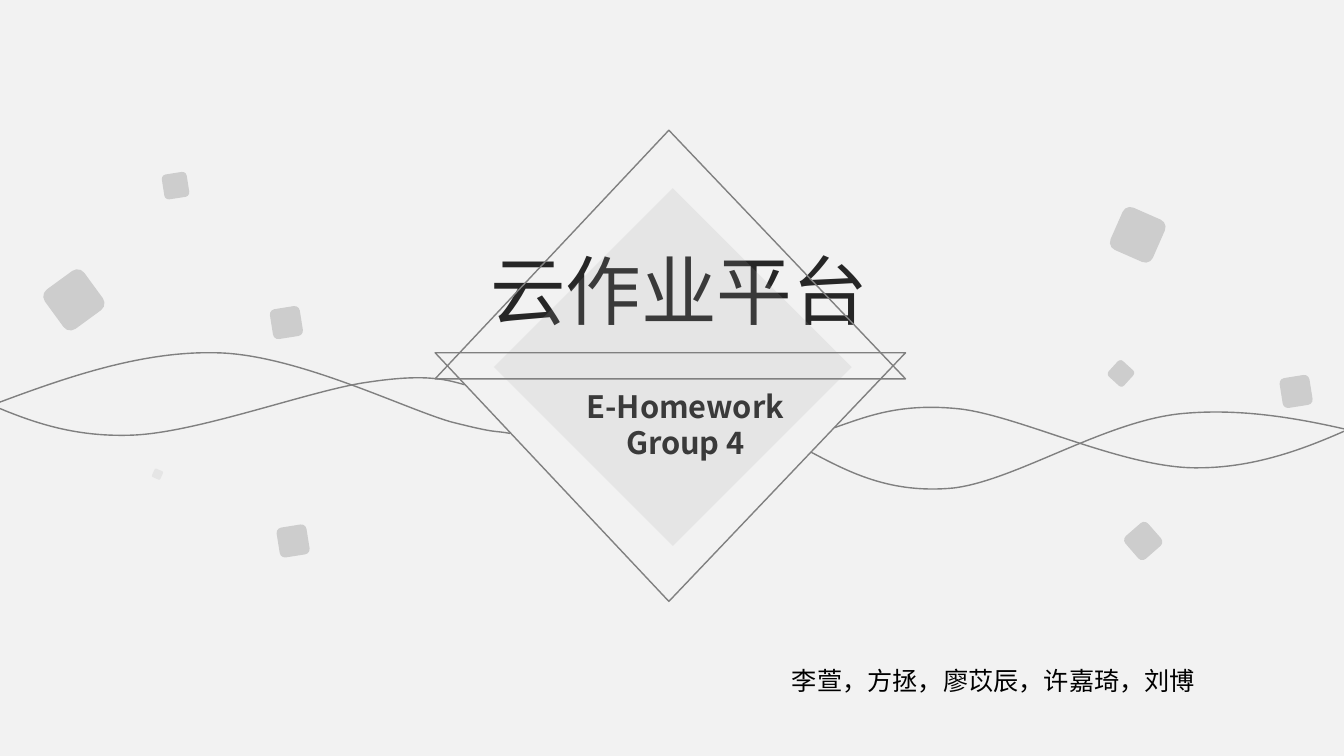
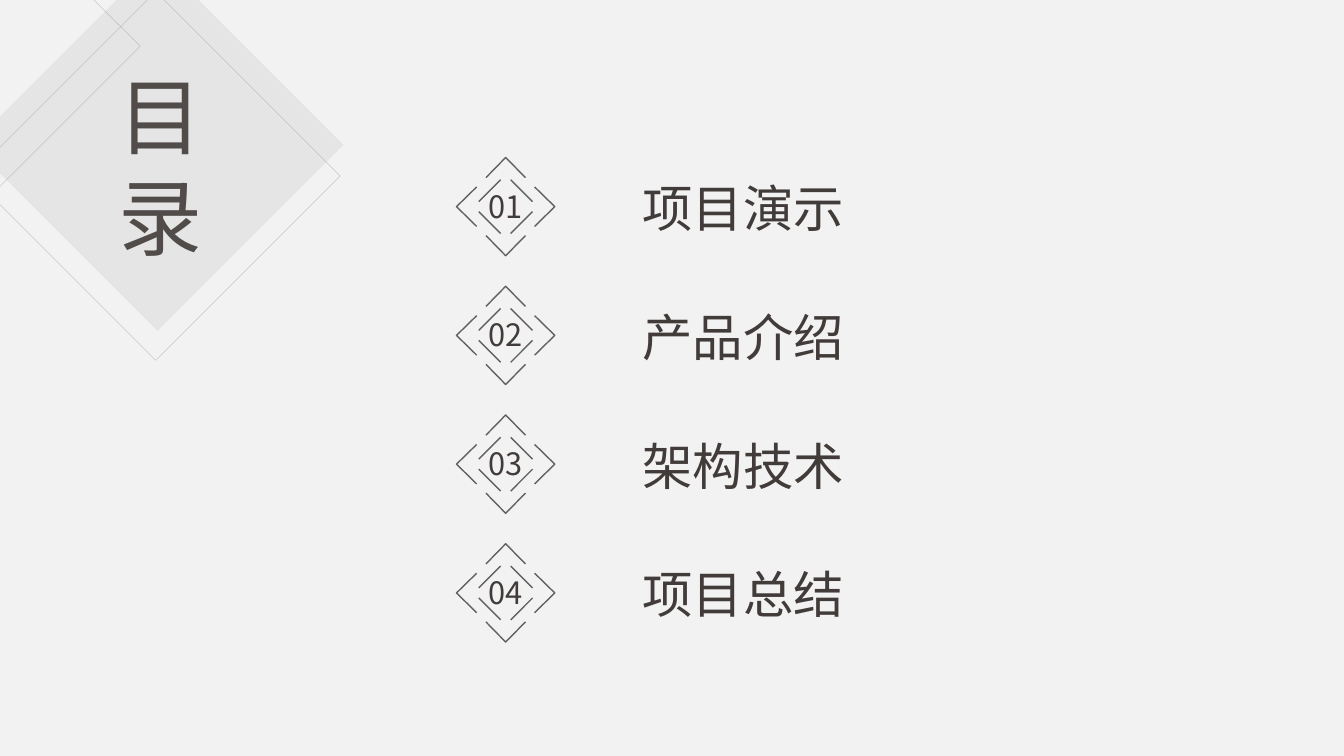
from lxml import etree
from pptx import Presentation
from pptx.dml.color import RGBColor
from pptx.enum.shapes import MSO_CONNECTOR, MSO_SHAPE
from pptx.enum.text import MSO_ANCHOR, MSO_AUTO_SIZE, PP_ALIGN
from pptx.oxml.ns import qn
from pptx.util import Emu, Inches, Pt

DIAMOND, TRIANGLE = MSO_SHAPE.DIAMOND, MSO_SHAPE.ISOSCELES_TRIANGLE
ROUNDED = MSO_SHAPE.ROUNDED_RECTANGLE
STRAIGHT = MSO_CONNECTOR.STRAIGHT
TOP, GROW = MSO_ANCHOR.TOP, MSO_AUTO_SIZE.SHAPE_TO_FIT_TEXT
LEFT, CENTER = PP_ALIGN.LEFT, PP_ALIGN.CENTER

COLUMNS, ROWS = 160, 90
WIDTH, HEIGHT = Inches(13.333), Inches(7.5)
HEADING_FONT, BODY_FONT = "Noto Sans CJK SC", "Calibri"
PAPER, MIST, NIGHT, OUTLINE = "F2F2F2", "A6A6A6", "0D0D0D", "808080"
INK, BROWN, BADGE, BLACK = "262626", "413B39", "616161", "000000"
TINT, FAINT = 16, 48


def paint(color_format, color, opacity=100):
    """Give a colour format a hex colour and an opacity in percent."""
    color_format.rgb = RGBColor.from_string(color)


def across(columns):
    """Turn grid columns into a length."""
    return Emu(round(WIDTH * columns / COLUMNS))


def down(rows):
    """Turn grid rows into a length."""
    return Emu(round(HEIGHT * rows / ROWS))


def box(left, top, width, height):
    """Turn a box on the grid into four lengths."""
    return across(left), down(top), across(width), down(height)


def fill_with(fill, color, opacity=100):
    """Make a fill solid, with an opacity in percent."""
    fill.solid()
    paint(fill.fore_color, color)
    if opacity < 100:
        solid = fill._xPr.find(qn("a:solidFill"))
        etree.SubElement(solid[0], qn("a:alpha"), val=str(opacity * 1000))


class Canvas:
    """Holds the style, the current slide and the shapes being added to."""

    def __init__(self):
        """Start a presentation with the shared background."""
        self.presentation = Presentation()
        self.presentation.slide_width = WIDTH
        self.presentation.slide_height = HEIGHT
        fill_with(self.presentation.slide_master.background.fill, PAPER)

    def new_slide(self, layout_index):
        """Add a slide and make it the current one."""
        layout = self.presentation.slide_layouts[layout_index]
        self.slide = self.presentation.slides.add_slide(layout)
        self.shapes = self.slide.shapes

    def finish(self, shape, fill=None, line=None, weight=1, opacity=100):
        """Give a shape its fill and line, without a shadow."""
        shape.shadow.inherit = False
        if fill:
            fill_with(shape.fill, fill, opacity)
        else:
            shape.fill.background()
        if line:
            shape.line.width = Pt(weight)
            fill_with(shape.line.fill, line, opacity)
        else:
            shape.line.fill.background()

    def preset(self, kind, area, adjustment=None, rotation=0, **look):
        """Add a preset shape."""
        shape = self.shapes.add_shape(kind, *box(*area))
        if adjustment is not None:
            shape.adjustments[0] = adjustment
        shape.rotation = rotation
        self.finish(shape, **look)
        return shape

    def outline(self, points, close=False, **look):
        """Add a freeform through grid points."""
        corners = [(across(x), down(y)) for x, y in points]
        builder = self.shapes.build_freeform(*corners[0])
        builder.add_line_segments(corners[1:], close=close)
        shape = builder.convert_to_shape()
        self.finish(shape, **look)
        return shape

    def wave(self, points, **look):
        """Add a curve: a start, then two controls and an end per piece."""
        shape = self.outline(points, **look)
        geometry = next(shape._element.iter(qn("a:path")))
        segments = geometry.findall(qn("a:lnTo"))
        for first in range(0, len(segments), 3):
            curve = etree.SubElement(geometry, qn("a:cubicBezTo"))
            for segment in segments[first:first + 3]:
                curve.append(segment[0])
                geometry.remove(segment)

    def line(self, start, end, color):
        """Add a straight line between two grid points."""
        connector = self.shapes.add_connector(
            STRAIGHT, across(start[0]), down(start[1]),
            across(end[0]), down(end[1]))
        connector.line.width = Pt(1)
        fill_with(connector.line.fill, color)
        etree.SubElement(connector._element.spPr, qn("a:effectLst"))

    def text(self, text, area, size, color, font=HEADING_FONT, bold=False,
             align=CENTER, wrap=True, holder=None):
        """Write text in a placeholder, or in a new text box."""
        shape = holder or self.shapes.add_textbox(*box(*area))
        shape.left, shape.top, shape.width, shape.height = box(*area)
        frame = shape.text_frame
        frame.text = text
        frame.word_wrap = wrap
        frame.vertical_anchor = TOP
        frame.auto_size = GROW
        for paragraph in frame.paragraphs:
            paragraph.alignment = align
            paragraph.space_before = Pt(0)
            for run in paragraph.runs:
                run.font.name = font
                run.font.size = Pt(size)
                run.font.bold = bold
                paint(run.font.color, color)
                properties = run._r.get_or_add_rPr()
                etree.SubElement(properties, qn("a:ea"), typeface=font)

    def title(self, text, area, size, color, wrap=True):
        """Write the slide's title."""
        self.text(text, area, size, color, wrap=wrap,
                  holder=self.slide.shapes.title)

    def badge(self, number, x, y):
        """Add a grouped number in a broken diamond centred on x, y."""
        self.shapes = self.slide.shapes.add_group_shape().shapes
        chevron = [(-2.35, -3.45), (0, -5.85), (2.35, -3.45)]
        dash = [(-0.6, -3.2), (-3.2, -0.6)]
        for _ in range(4):
            self.outline([(x + dx, y + dy) for dx, dy in chevron], line=BADGE)
            self.line(*[(x + dx, y + dy) for dx, dy in dash], BADGE)
            chevron = [(-dy, dx) for dx, dy in chevron]
            dash = [(-dy, dx) for dx, dy in dash]
        self.text(number, (x - 4.5, y - 2.9, 9, 5.6), 22, BROWN)
        self.shapes = self.slide.shapes


WAVES = [
    [(-3, 49), (6.5, 45.4), (16.1, 41.8), (25.6, 42), (35, 42.1),
     (47.8, 48.5), (53.6, 50.2), (59.5, 51.7), (58.6, 51.2), (60.7, 51.6)],
    [(96.5, 53.8), (101.2, 56.3), (106.1, 58.8), (113.5, 58.1), (121, 57.2),
     (131.9, 49.9), (141.1, 49.2), (150.5, 48.4), (159.8, 50.9), (169.3, 53.4)],
    [(99.4, 50.9), (103.2, 49.6), (107.2, 47.9), (114.4, 48.7), (121.6, 49.6),
     (133.9, 55.8), (142.6, 55.7), (151.3, 55.7), (158.8, 52), (166.3, 48.4)],
    [(-2.9, 47.4), (2.6, 49.8), (8, 52.1), (15.8, 51.8), (23.6, 51.5),
     (37.2, 46.4), (43.8, 45.5), (50.4, 44.5), (52.9, 45.1), (55.3, 45.8)],
]
# Left, top, side, rotation and colour of each scattered tile.
TILES = [
    (132.2, 43.2, 2.5, 312.4, NIGHT), (152.5, 44.8, 3.6, 261, NIGHT),
    (32.3, 36.6, 3.6, 261, NIGHT), (5.9, 32.8, 5.8, 323.9, NIGHT),
    (18.2, 55.9, 1.1, 293.7, MIST), (132.7, 25.2, 5.5, 293.7, NIGHT),
    (33.1, 62.6, 3.6, 261, NIGHT), (134.3, 62.6, 3.6, 318.9, NIGHT),
    (19.4, 20.6, 3, 261, NIGHT),
]
TOPICS = ["项目演示", "产品介绍", "架构技术", "项目总结"]
TOPIC_PITCH = 15.33


def build_cover(canvas):
    """Build the cover slide."""
    canvas.new_slide(0)
    canvas.preset(DIAMOND, (58.8, 22.4, 42.6, 42.6), fill=MIST, opacity=TINT)
    lower = canvas.preset(TRIANGLE, (51.8, 42, 56, 29.6), 0.497, line=OUTLINE)
    lower._element.spPr.xfrm.set("flipV", "1")
    canvas.preset(TRIANGLE, (51.8, 15.5, 56, 29.6), 0.497, line=OUTLINE)
    canvas.title("云作业平台", (56.9, 28.4, 47.9, 12.1), 54, INK, wrap=False)
    canvas.text("E-Homework\nGroup 4", (57.4, 45.5, 48.4, 10.1), 22, INK,
                bold=True, holder=canvas.slide.placeholders[1])
    for points in WAVES:
        canvas.wave(points, line=OUTLINE)
    for left, top, side, rotation, color in TILES:
        canvas.preset(ROUNDED, (left, top, side, side), 0.176, rotation,
                      fill=color, opacity=TINT)
    canvas.text("李萱，方拯，廖苡辰，许嘉琦，刘博", (93.1, 78.6, 59.2, 4.8),
                18, BLACK, font=BODY_FONT, align=LEFT)


def build_contents(canvas):
    """Build the contents slide."""
    canvas.new_slide(5)
    hairline = {"line": OUTLINE, "weight": 0.25, "opacity": FAINT}
    canvas.preset(DIAMOND, (-3.4, -4.9, 44.3, 44.3), fill=MIST, opacity=TINT)
    canvas.outline([(-0.2, -11.3), (16.7, 5.5), (-0.2, 22.4)], close=True,
                   **hairline)
    canvas.preset(DIAMOND, (-3.4, -1, 43.9, 43.9), **hairline)
    canvas.title("目录", (11.8, 7.1, 14.5, 25.4), 60, BROWN)
    for index, topic in enumerate(TOPICS):
        offset = index * TOPIC_PITCH
        canvas.badge(f"{index + 1:02}", 60.2, 24.6 + offset)
        canvas.text(topic, (65.9, 20.5 + offset, 45.2, 8.5), 36, BROWN)


canvas = Canvas()
build_cover(canvas)
build_contents(canvas)
canvas.presentation.save("out.pptx")
